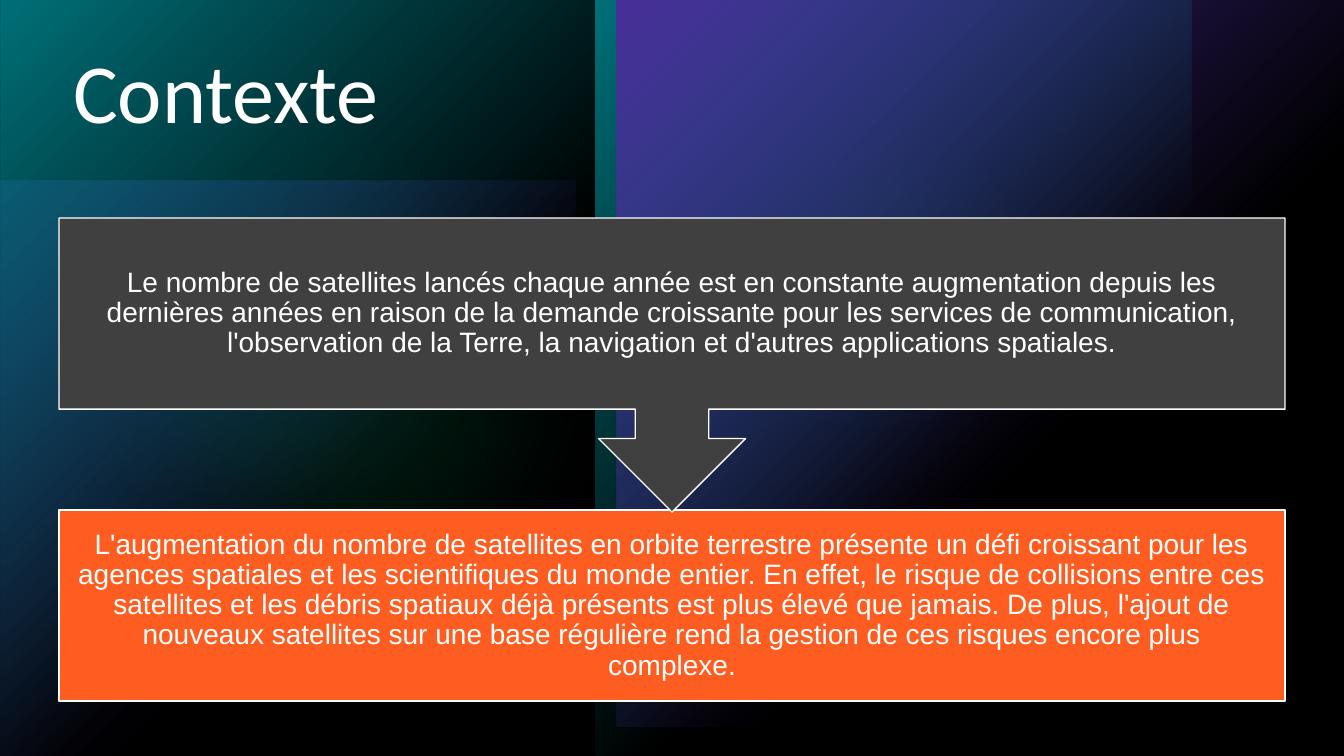
"""Build the "Contexte" slide: glowing backdrop, title and two linked statements."""
from lxml.etree import SubElement
from pptx import Presentation
from pptx.dml.color import RGBColor
from pptx.enum.shapes import MSO_SHAPE
from pptx.enum.text import MSO_ANCHOR, PP_ALIGN
from pptx.oxml import parse_xml
from pptx.oxml.ns import nsdecls, qn
from pptx.util import Emu, Pt

PX = 12192000 / 1344
THEME = {
    "black": "000000", "white": "FFFFFF", "violet": "794DFF", "green": "00D17D",
    "teal": "00BAC8", "grey": "404040", "orange": "FE5D21",
    "title": ("Calibri", 60), "body": ("Arial", 20),
}


def add_panel(s, kind, box, color, turn=0, flips=()):
    sp = s.shapes.add_shape(kind, *[Emu(round(v * PX)) for v in box])
    sp.shadow.inherit = False
    sp.rotation = turn
    for flip in flips:
        sp._element.spPr.find(qn("a:xfrm")).set(flip, "1")
    sp.fill.solid()
    sp.fill.fore_color.rgb = RGBColor.from_string(THEME[color])
    sp.line.fill.background()
    return sp


def add_text(s, box, text, font, inset, anchor, align):
    tf = s.shapes.add_textbox(*[Emu(round(v * PX)) for v in box]).text_frame
    tf.word_wrap = True
    tf.vertical_anchor = anchor
    tf.margin_left = tf.margin_right = Emu(round(inset[0] * PX))
    tf.margin_top = tf.margin_bottom = Emu(round(inset[1] * PX))
    p = tf.paragraphs[0]
    p.alignment = align
    p.line_spacing = 0.9
    r = p.add_run()
    r.text = text
    r.font.name, size = THEME[font]
    r.font.size = Pt(size)
    r.font.color.rgb = RGBColor.from_string(THEME["white"])


prs = Presentation()
prs.slide_width, prs.slide_height = Emu(12192000), Emu(6858000)
s = prs.slides.add_slide(prs.slide_layouts[6])
s.background.fill.solid()
s.background.fill.fore_color.rgb = RGBColor.from_string(THEME["black"])

RECT, OVAL = MSO_SHAPE.RECTANGLE, MSO_SHAPE.OVAL
backdrop = [
    (RECT, (0, 181, 576, 576), "violet", 60, 0, ["flipV"]),
    (OVAL, (634, 43, 476, 476), "green", 60, 0, ["flipV"]),
    (OVAL, (0, 56, 700, 700), "green", 20, 0, ["flipV"]),
    (RECT, (0, 0, 596, 756), "teal", 100, 180, ["flipV"]),
    (RECT, (596, 0, 596, 756), "teal", 100, 180, ["flipH", "flipV"]),
    (RECT, (617, 0, 727, 727), "violet", 100, 180, ["flipV"]),
    (RECT, (0, 0, 1344, 756), "black", 40, 0, []),
]
for kind, box, color, opacity, turn, flips in backdrop:
    sp = add_panel(s, kind, box, color, turn, flips)
    spPr = sp._element.spPr
    solid = spPr.find(qn("a:solidFill"))
    if kind == RECT and color != "black":
        stops = "".join(
            f'<a:gs pos="{pos}000"><a:srgbClr val="{THEME[color]}">'
            f'<a:alpha val="{alpha}000"/></a:srgbClr></a:gs>'
            for pos, alpha in ((0, opacity), (60, 0)))
        spPr.replace(solid, parse_xml(
            f'<a:gradFill {nsdecls("a")}><a:gsLst>{stops}</a:gsLst><a:path path="circle">'
            '<a:fillToRect r="100000" b="100000"/></a:path></a:gradFill>'))
    else:
        SubElement(solid[0], qn("a:alpha")).set("val", f"{opacity}000")
    if kind == OVAL:
        SubElement(spPr.find(qn("a:effectLst")), qn("a:softEdge")).set("rad", "1270000")

add_text(s, (63, 46, 1189, 147), "Contexte", "title", (10, 5), MSO_ANCHOR.TOP, PP_ALIGN.LEFT)

statements = [
    (RECT, 510, 191, 510, "orange", 0,
     "L'augmentation du nombre de satellites en orbite terrestre présente un défi croissant "
     "pour les agences spatiales et les scientifiques du monde entier. En effet, le risque de "
     "collisions entre ces satellites et les débris spatiaux déjà présents est plus élevé que "
     "jamais. De plus, l'ajout de nouveaux satellites sur une base régulière rend la gestion "
     "de ces risques encore plus complexe."),
    (MSO_SHAPE.UP_ARROW_CALLOUT, 218, 294, 218, "grey", 180,
     "Le nombre de satellites lancés chaque année est en constante augmentation depuis les "
     "dernières années en raison de la demande croissante pour les services de communication, "
     "l'observation de la Terre, la navigation et d'autres applications spatiales."),
]
for kind, top, height, text_top, color, turn, text in statements:
    sp = add_panel(s, kind, (59, top, 1226, height), color, turn)
    sp.line.color.rgb = RGBColor.from_string(THEME["white"])
    sp.line.width = Pt(1)
    add_text(s, (59, text_top, 1226, 191), text, "body", (16, 16),
             MSO_ANCHOR.MIDDLE, PP_ALIGN.CENTER)

prs.save("out.pptx")
